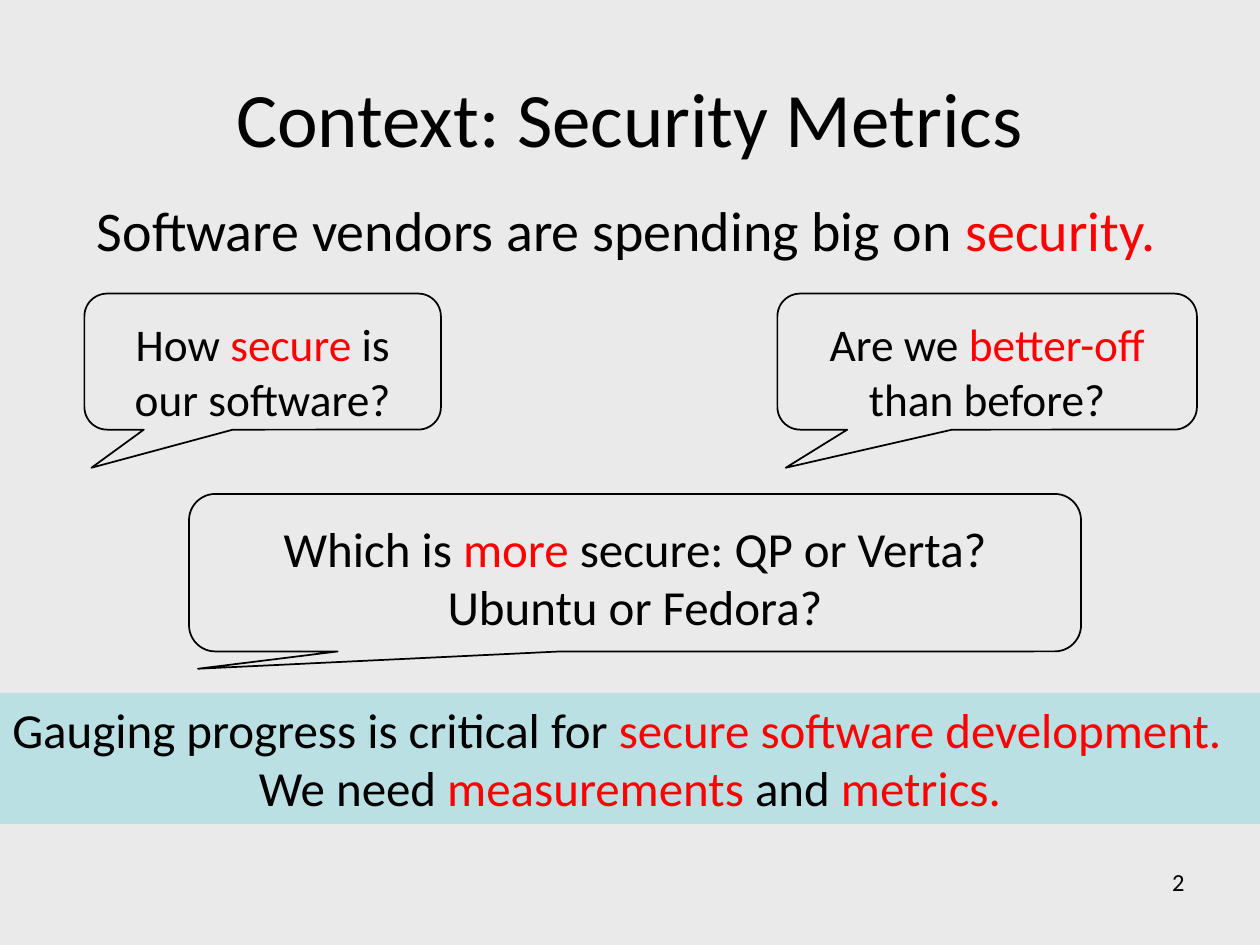
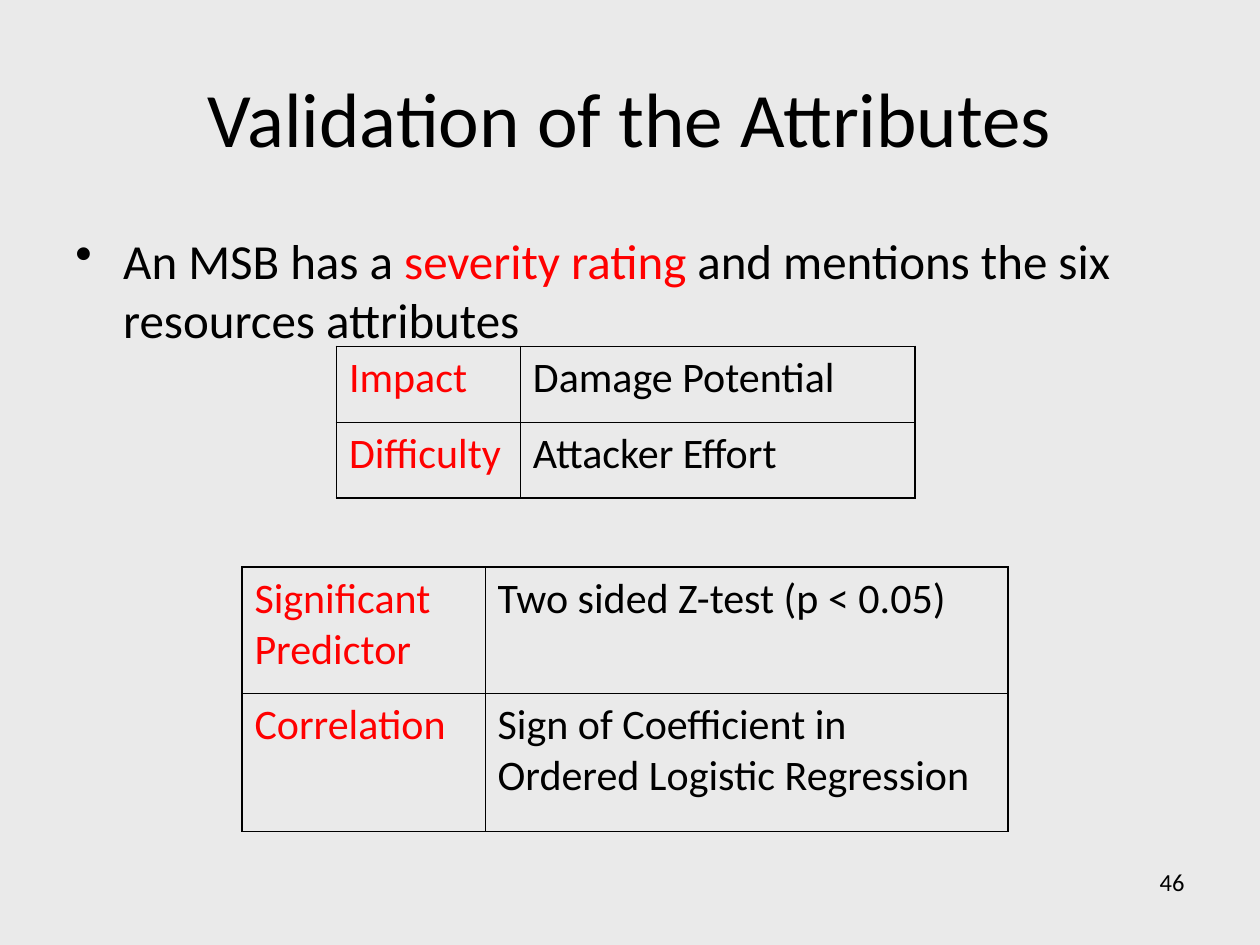
"""Build two slides on security metrics."""
from dataclasses import dataclass

from lxml import etree
from pptx import Presentation
from pptx import util as u
from pptx.dml.color import RGBColor
from pptx.enum import shapes, text
from pptx.oxml import ns

AL = text.PP_ALIGN
KIND = shapes.MSO_SHAPE


@dataclass(frozen=True)
class Theme:
    """Colours, font, type sizes and line widths."""
    back: str = "EAEAEA"
    ink: str = "000000"
    key: str = "FF0000"
    band: str = "BBE0E3"
    font: str = "Calibri"
    title: float = 44
    lead: float = 32
    body: float = 28
    ask: float = 25.9
    cell: float = 24
    page: float = 14
    outer: float = 1.08
    inner: float = 0.45


T = Theme()


def rgb(code):
    """Turn a hex code into a colour."""
    return RGBColor.from_string(code)


def box(*sizes):
    """Turn numbers into lengths in inches."""
    return [u.Inches(size) for size in sizes]


def write(para, runs, size, align=AL.LEFT):
    """Add runs to a paragraph; a run given as a tuple is in the key colour."""
    para.alignment = align
    for part in runs:
        key = isinstance(part, tuple)
        run = para.add_run()
        run.text = part[0] if key else part
        font = run.font
        font.name, font.size = T.font, u.Pt(size)
        font.color.rgb = rgb(T.key if key else T.ink)


def frame(shape, top=0.05, base=0.05):
    """Set up a wrapped, top-anchored text frame and return it."""
    body = shape.text_frame
    body.word_wrap = True
    body.vertical_anchor = text.MSO_ANCHOR.TOP
    body.margin_left, body.margin_right = box(0.1, 0.1)
    body.margin_top, body.margin_bottom = box(top, base)
    return body


def label(slide, area, runs, size, align=AL.LEFT):
    """Add a one-paragraph text box and return its frame."""
    body = frame(slide.shapes.add_textbox(*box(*area)))
    write(body.paragraphs[0], runs, size, align)
    return body


def page(deck, name, num):
    """Add a slide with its title and page number."""
    slide = deck.slides.add_slide(deck.slide_layouts[5])
    head = slide.shapes.title
    head.left, head.top, head.width, head.height = box(0.5, 0.3, 9, 1.25)
    head.text_frame.vertical_anchor = text.MSO_ANCHOR.MIDDLE
    write(head.text_frame.paragraphs[0], [name], T.title, AL.CENTER)
    label(slide, (7.17, 6.83, 2.33, 0.52), [num], T.page, AL.RIGHT)
    return slide


def solid(slide, kind, area, fill):
    """Add a filled shape with no shadow and no line."""
    shape = slide.shapes.add_shape(kind, *box(*area))
    shape.shadow.inherit = False
    shape.fill.solid()
    shape.fill.fore_color.rgb = rgb(fill)
    shape.line.fill.background()
    return shape


def bubble(slide, area, tail, runs, size):
    """Add a speech bubble whose tail tip is given relative to its box."""
    shape = solid(slide, KIND.ROUNDED_RECTANGULAR_CALLOUT, area, T.back)
    for spot, value in enumerate((*tail, 0.167)):
        shape.adjustments[spot] = value
    shape.line.color.rgb = rgb(T.ink)
    shape.line.width = u.Pt(1)
    body = frame(shape, 0.13, 0)
    write(body.paragraphs[0], runs, size, AL.CENTER)


def banner(slide, area, first, second):
    """Add the coloured band with two lines of text."""
    body = frame(solid(slide, KIND.RECTANGLE, area, T.band))
    write(body.paragraphs[0], first, T.body)
    write(body.add_paragraph(), second, T.body, AL.CENTER)


def bullet(slide, area, runs):
    """Add a bulleted paragraph with a hanging indent."""
    body = frame(slide.shapes.add_textbox(*box(*area)), 0.08)
    para = body.paragraphs[0]
    props = para._p.get_or_add_pPr()
    hang = u.Inches(0.38)
    props.set("marL", str(hang))
    props.set("indent", str(-hang))
    etree.SubElement(props, ns.qn("a:buChar")).set("char", "•")
    write(para, runs, T.body)


def edge(cell, side, width):
    """Draw one border of a table cell."""
    props = cell._tc.get_or_add_tcPr()
    line = etree.SubElement(props, ns.qn("a:ln" + side), w=str(u.Pt(width)))
    fill = etree.SubElement(line, ns.qn("a:solidFill"))
    etree.SubElement(fill, ns.qn("a:srgbClr"), val=T.ink)


def grid(slide, spot, cols, rows, data):
    """Add a ruled table whose first column is in the key colour."""
    area = box(*spot, sum(cols), sum(rows))
    table = slide.shapes.add_table(len(rows), len(cols), *area).table
    table.first_row = table.horz_banding = False
    for col, width in zip(table.columns, cols):
        col.width = u.Inches(width)
    for row, height in zip(table.rows, rows):
        row.height = u.Inches(height)
    for r, line in enumerate(data):
        for c, word in enumerate(line):
            cell = table.cell(r, c)
            rims = {"L": c == 0, "R": c == len(cols) - 1,
                    "T": r == 0, "B": r == len(rows) - 1}
            for side, rim in rims.items():
                edge(cell, side, T.outer if rim else T.inner)
            cell.fill.background()
            run = word if c else (word,)
            write(cell.text_frame.paragraphs[0], [run], T.cell)


def context(deck):
    """Build the slide on why metrics are needed."""
    slide = page(deck, "Context: Security Metrics", "2")
    label(slide, (0.67, 1.5, 8.83, 0.64),
          ["Software vendors are spending big on", (" security.",)], T.lead)
    banner(slide, (0, 5.5, 10, 1.04),
           ["Gauging progress is critical for",
            (" secure software development.",)],
           ["We need", (" measurements ",), "and", (" metrics.",)])
    bubble(slide, (0.67, 2.33, 2.83, 1.08), (-0.48, 0.78),
           ["How ", ("secure",), " is our software?"], T.ask)
    bubble(slide, (6.17, 2.33, 3.33, 1.08), (-0.48, 0.78),
           ["Are we ", ("better-off",), " than before?"], T.ask)
    bubble(slide, (1.5, 3.92, 7.08, 1.25), (-0.49, 0.61),
           ["Which is ", ("more ",),
            "secure: QP or Verta? Ubuntu or Fedora?"], T.body)


def proof(deck):
    """Build the slide on how the attributes are validated."""
    slide = page(deck, "Validation of the Attributes", "46")
    bullet(slide, (0.5, 1.75, 9, 5.08),
           ["An MSB has a ", ("severity rating",),
            " and mentions the six resources attributes"])
    grid(slide, (2.67, 2.75), (1.46, 3.13), (0.6, 0.6),
         [("Impact", "Damage Potential"),
          ("Difficulty", "Attacker Effort")])
    grid(slide, (1.92, 4.5), (1.93, 4.15), (1, 1.1),
         [("Significant Predictor", "Two sided Z-test (p < 0.05)"),
          ("Correlation",
           "Sign of Coefficient in Ordered Logistic Regression")])


def main():
    """Build and save the deck."""
    deck = Presentation()
    deck.slide_width, deck.slide_height = box(10, 7.5)
    fill = deck.slide_master.background.fill
    fill.solid()
    fill.fore_color.rgb = rgb(T.back)
    context(deck)
    proof(deck)
    deck.save("out.pptx")


if __name__ == "__main__":
    main()
